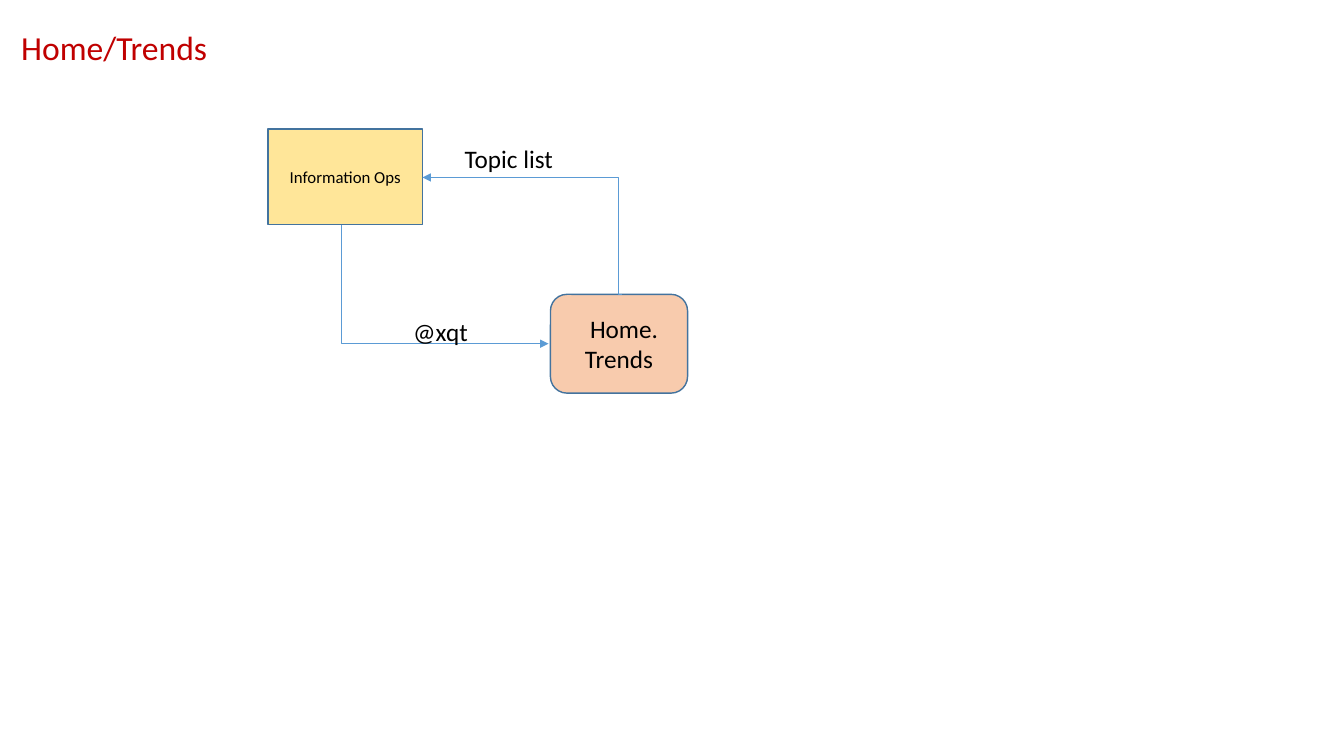
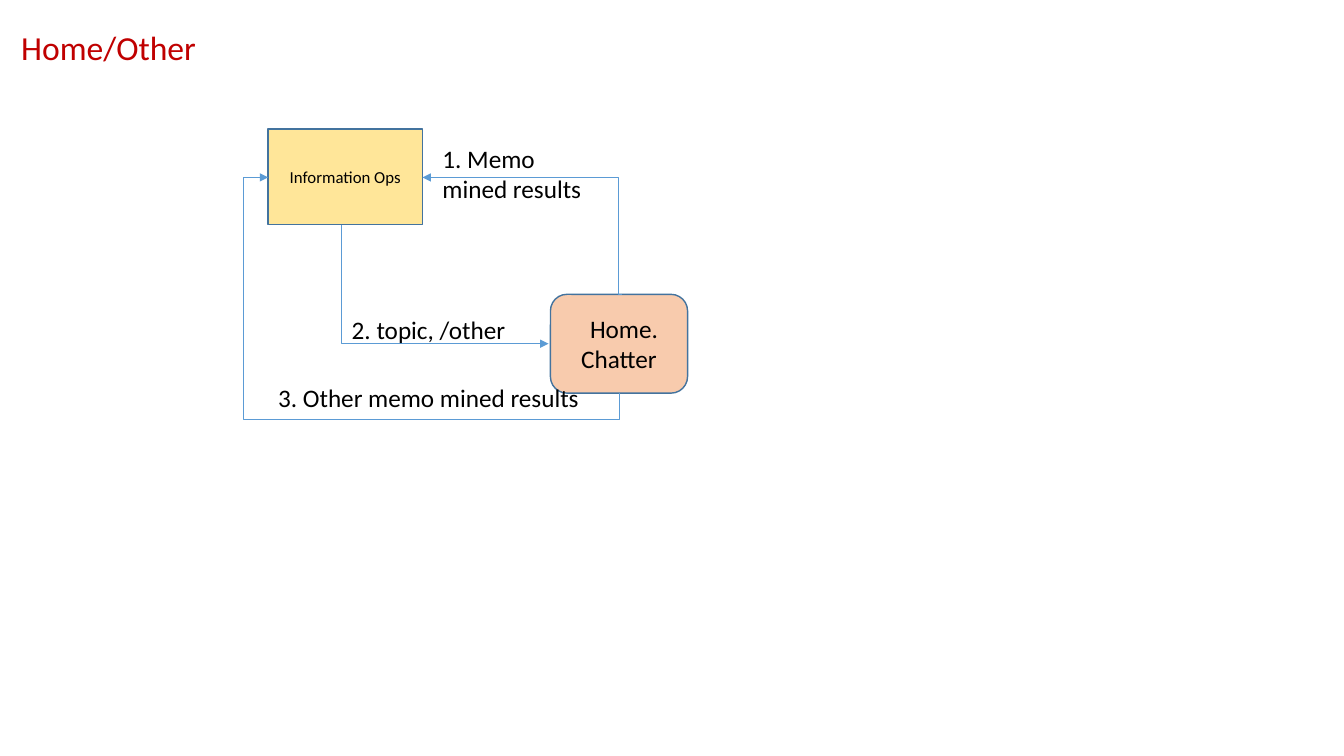
from dataclasses import dataclass

from lxml.etree import SubElement
from pptx import Presentation
from pptx.dml.color import RGBColor
from pptx.enum.shapes import MSO_CONNECTOR as Link, MSO_SHAPE as Form
from pptx.enum.text import MSO_ANCHOR as Anchor, MSO_AUTO_SIZE as Fit, PP_ALIGN as Align
from pptx.oxml.ns import qn
from pptx.slide import Slide
from pptx.text.text import TextFrame
from pptx.util import Inches, Pt

FONT = "Calibri"
RED = RGBColor(0xC0, 0x00, 0x00)
BLACK = RGBColor(0x00, 0x00, 0x00)
YELLOW = RGBColor(0xFF, 0xE6, 0x99)
PEACH = RGBColor(0xF8, 0xCB, 0xAD)
EDGE = RGBColor(0x43, 0x73, 0x9E)
BLUE = RGBColor(0x5B, 0x9B, 0xD5)


@dataclass(frozen=True)
class Box:
    left: float
    top: float
    width: float
    height: float

    def lengths(self) -> list[Inches]:
        return [Inches(v) for v in (self.left, self.top, self.width, self.height)]


@dataclass(frozen=True)
class Node:
    text: str
    box: Box
    form: Form
    fill: RGBColor
    size: int
    indent: float = 0


@dataclass(frozen=True)
class Label:
    text: str
    box: Box


@dataclass(frozen=True)
class Elbow:
    start: tuple[float, float]
    end: tuple[float, float]
    preset: str
    turn: int
    flip: bool = False
    bends: tuple[float, ...] = ()


@dataclass(frozen=True)
class Page:
    title: str
    home: str
    labels: list[Label]
    extra: tuple[Elbow, ...] = ()


# Parts found on every slide
TITLE = Box(0.11, 0.22, 4.09, 0.5)
OPS = Node("Information Ops", Box(2.66, 1.28, 1.53, 0.95), Form.RECTANGLE, YELLOW, 12)
HOME = Box(5.46, 2.92, 1.36, 0.98)
LOOP = (
    Elbow((3.39, 2.23), (5.44, 3.41), "bentConnector2", 270, True),
    Elbow((6.17, 2.92), (4.19, 1.76), "bentConnector3", 180, bends=(0.02,)),
)

PAGES = [
    Page("Home/Trends", "Home. Trends", [
        Label("@xqt", Box(4, 3.09, 1.52, 0.4)),
        Label("Topic list", Box(4.51, 1.37, 1.51, 0.4)),
    ]),
    Page("Home/Other", "Home. Chatter", [
        Label("2. topic, /other", Box(3.39, 3.07, 1.76, 0.4)),
        Label("1. Memo mined results", Box(4.29, 1.37, 1.7, 0.71)),
        Label("3. Other memo mined results", Box(2.66, 3.74, 3.25, 0.4)),
    ], (Elbow((6.14, 3.9), (2.66, 1.76), "bentConnector4", 90, True, (-0.12, 1.07)),)),
]


def write(frame: TextFrame, text: str, size: int, color: RGBColor = BLACK,
          align: Align = Align.LEFT, anchor: Anchor = Anchor.TOP,
          indent: float = 0) -> None:
    frame.text = text
    frame.word_wrap = True
    frame.auto_size = Fit.NONE
    frame.vertical_anchor = anchor
    para = frame.paragraphs[0]
    para.alignment = align
    font = para.font
    font.name, font.size, font.color.rgb = FONT, Pt(size), color
    if indent:
        props = para._p.get_or_add_pPr()
        props.set("marL", "0")
        props.set("indent", str(Inches(indent)))


def add_title(slide: Slide, text: str) -> None:
    title = slide.shapes.title
    title.left, title.top, title.width, title.height = TITLE.lengths()
    write(title.text_frame, text, 24, RED)


def add_node(slide: Slide, node: Node) -> None:
    shape = slide.shapes.add_shape(node.form, *node.box.lengths())
    shape.shadow.inherit = False
    shape.fill.solid()
    shape.fill.fore_color.rgb = node.fill
    shape.line.color.rgb = EDGE
    shape.line.width = Pt(1)
    write(shape.text_frame, node.text, node.size, align=Align.CENTER,
          anchor=Anchor.MIDDLE, indent=node.indent)


def add_label(slide: Slide, label: Label) -> None:
    frame = slide.shapes.add_textbox(*label.box.lengths()).text_frame
    write(frame, label.text, 18)


def add_elbow(slide: Slide, elbow: Elbow) -> None:
    (x1, y1), (x2, y2) = elbow.start, elbow.end
    wide, high = abs(x2 - x1), abs(y2 - y1)
    if elbow.turn % 180:  # a quarter turn swaps the sides of the frame
        wide, high = high, wide
    left, top = (x1 + x2 - wide) / 2, (y1 + y2 - high) / 2
    line = slide.shapes.add_connector(
        Link.ELBOW, Inches(left), Inches(top), Inches(left + wide), Inches(top + high))
    line.line.color.rgb = BLUE
    line.line.width = Pt(0.5)

    # Turn, bends, arrowhead and no shadow
    props = line._element.spPr
    frame = props.find(qn("a:xfrm"))
    frame.set("rot", str(elbow.turn * 60000))
    if elbow.flip:
        frame.set("flipH", "1")
    geom = props.find(qn("a:prstGeom"))
    geom.set("prst", elbow.preset)
    guides = geom.find(qn("a:avLst"))
    if guides is None:
        guides = SubElement(geom, qn("a:avLst"))
    for i, bend in enumerate(elbow.bends, 1):
        SubElement(guides, qn("a:gd"), name=f"adj{i}", fmla=f"val {round(bend * 100000)}")
    SubElement(props.find(qn("a:ln")), qn("a:tailEnd"), type="triangle")
    SubElement(props, qn("a:effectLst"))


def main() -> None:
    deck = Presentation()
    deck.slide_width, deck.slide_height = Inches(13.33), Inches(7.5)
    for page in PAGES:
        slide = deck.slides.add_slide(deck.slide_layouts[5])
        add_title(slide, page.title)
        add_node(slide, OPS)
        add_node(slide, Node(page.home, HOME, Form.ROUNDED_RECTANGLE, PEACH, 18, 0.1))
        for elbow in LOOP + page.extra:
            add_elbow(slide, elbow)
        for label in page.labels:
            add_label(slide, label)
    deck.save("out.pptx")


if __name__ == "__main__":
    main()
